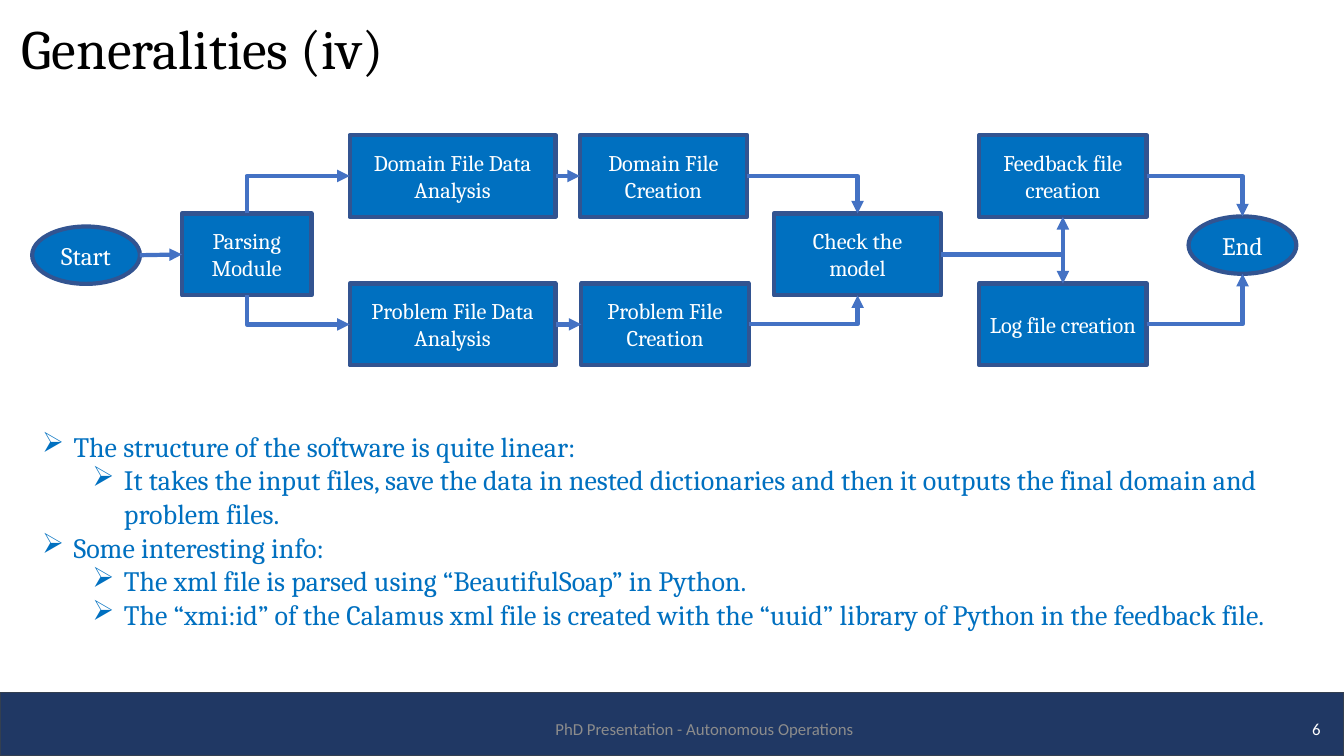
from lxml import etree
from pptx import Presentation
from pptx.dml.color import RGBColor
from pptx.enum.shapes import MSO_CONNECTOR as CONN, MSO_SHAPE as SHAPE
from pptx.enum.text import MSO_ANCHOR as ANCHOR, PP_ALIGN as ALIGN
from pptx.oxml.ns import qn
from pptx.util import Pt

BLACK = RGBColor(0x00, 0x00, 0x00)
WHITE = RGBColor(0xFF, 0xFF, 0xFF)
GREY = RGBColor(0x8C, 0x8C, 0x8C)
BLUE = RGBColor(0x00, 0x70, 0xC0)
EDGE = RGBColor(0x32, 0x54, 0x91)
ARROW = RGBColor(0x44, 0x72, 0xC4)
NAVY = RGBColor(0x20, 0x38, 0x64)
SLATE = RGBColor(0x33, 0x3F, 0x50)

prs = Presentation()
prs.slide_width, prs.slide_height = Pt(960), Pt(540)
s = prs.slides.add_slide(prs.slide_layouts[6])


def add_box(kind, box, fill, edge, width):
    sp = s.shapes.add_shape(kind, *map(Pt, box))
    sp.shadow.inherit = False
    sp.fill.solid()
    sp.fill.fore_color.rgb = fill
    sp.line.color.rgb = edge
    sp.line.width = Pt(width)
    return sp


def write(p, text, size, color, font="Cambria", align=ALIGN.LEFT):
    p.alignment = align
    r = p.add_run()
    r.text = text
    r.font.size, r.font.name = Pt(size), font
    r.font.color.rgb = color


# Footer bar
add_box(SHAPE.RECTANGLE, (0, 494.6, 960, 45.4), NAVY, SLATE, 1)

# Title, footer and page number
for box, *style in [
    ((8.6, 10.8, 732.2, 52.6), "Generalities (iv)", 39.6, BLACK),
    ((341.3, 506.2, 324, 28.8), "PhD Presentation - Autonomous Operations", 12, GREY, "Calibri", ALIGN.CENTER),
    ((915.8, 506.2, 34.6, 28.8), "6", 12, WHITE, "Calibri", ALIGN.RIGHT),
]:
    tf = s.shapes.add_textbox(*map(Pt, box)).text_frame
    tf.word_wrap = True
    tf.vertical_anchor = ANCHOR.MIDDLE
    tf.paragraphs[0].line_spacing = 0.9 if style[1] > 20 else 1.0
    write(tf.paragraphs[0], *style)

# Bulleted text
tf = s.shapes.add_textbox(Pt(23), Pt(303.1), Pt(902.9), Pt(177.1)).text_frame
tf.word_wrap = True
for i, (level, text) in enumerate([
    (0, "The structure of the software is quite linear:"),
    (1, "It takes the input files, save the data in nested dictionaries and then it outputs "
        "the final domain and problem files."),
    (0, "Some interesting info:"),
    (1, "The xml file is parsed using “BeautifulSoap” in Python."),
    (1, "The “xmi:id” of the Calamus xml file is created with the “uuid” library of Python "
        "in the feedback file."),
]):
    p = tf.add_paragraph() if i else tf.paragraphs[0]
    p.level = level
    write(p, text, 20, BLUE)
    pPr = p._p.get_or_add_pPr()
    pPr.set("marL", str(Pt(22.5 + 36 * level)))
    pPr.set("indent", str(Pt(-22.5)))
    etree.SubElement(pPr, qn("a:buChar")).set("char", "➢")

# Flowchart nodes: (left, top, width, height)
TOP, MID, LOW, H = 96.5, 152.5, 202.5, 58.5
nodes = {
    "Parsing Module": (130, MID, 92.5, H),
    "Domain File Data Analysis": (249.8, TOP, 147, H),
    "Problem File Data Analysis": (249.8, LOW, 147, H),
    "Problem File Creation": (415.3, LOW, 119.5, H),
    "Domain File Creation": (414.2, TOP, 119.5, H),
    "Check the model": (552.8, MID, 119.5, H),
    "Feedback file creation": (699.5, TOP, 119.5, H),
    "Log file creation": (699.5, LOW, 119.5, H),
    "Start": (23, 161.8, 77, 41),
    "End": (849, 154.6, 77, 41),
}
for text, box in nodes.items():
    oval = text in ("Start", "End")
    sp = add_box(SHAPE.OVAL if oval else SHAPE.RECTANGLE, box, BLUE, EDGE, 3)
    tf = sp.text_frame
    tf.word_wrap = True
    tf.vertical_anchor = ANCHOR.MIDDLE
    write(tf.paragraphs[0], text, 18 if oval else 16, WHITE, align=ALIGN.CENTER)

# Arrows run between the middles of node sides
SIDES = {"top": (0.5, 0), "left": (0, 0.5), "bottom": (0.5, 1), "right": (1, 0.5)}
for start, side1, end, side2 in [
    ("Start", "right", "Parsing Module", "left"),
    ("Parsing Module", "top", "Domain File Data Analysis", "left"),
    ("Parsing Module", "bottom", "Problem File Data Analysis", "left"),
    ("Domain File Data Analysis", "right", "Domain File Creation", "left"),
    ("Problem File Data Analysis", "right", "Problem File Creation", "left"),
    ("Domain File Creation", "right", "Check the model", "top"),
    ("Problem File Creation", "right", "Check the model", "bottom"),
    ("Check the model", "right", "Feedback file creation", "bottom"),
    ("Check the model", "right", "Log file creation", "top"),
    ("Feedback file creation", "right", "End", "top"),
    ("Log file creation", "right", "End", "bottom"),
]:
    (x1, y1), (x2, y2) = [
        (x + w * SIDES[side][0], y + h * SIDES[side][1])
        for (x, y, w, h), side in ((nodes[start], side1), (nodes[end], side2))
    ]
    bent, upright = side2 != "left", side1 != "right"
    if upright:  # a quarter turn makes the elbow leave vertically
        cx, cy, dx, dy = (x1 + x2) / 2, (y1 + y2) / 2, (x1 - x2) / 2, (y1 - y2) / 2
        x1, y1, x2, y2 = cx + dy, cy - dx, cx - dy, cy + dx
    kind = CONN.ELBOW if bent or upright else CONN.STRAIGHT
    c = s.shapes.add_connector(kind, Pt(x1), Pt(y1), Pt(x2), Pt(y2))
    c.line.color.rgb = ARROW
    c.line.width = Pt(3)
    spPr = c._element.spPr
    if kind == CONN.ELBOW:
        spPr.find(qn("a:prstGeom")).set("prst", "bentConnector2")
    if upright:
        spPr.find(qn("a:xfrm")).set("rot", "5400000")
    etree.SubElement(c.line._get_or_add_ln(), qn("a:tailEnd")).set("type", "triangle")
    etree.SubElement(spPr, qn("a:effectLst"))

prs.save("out.pptx")
